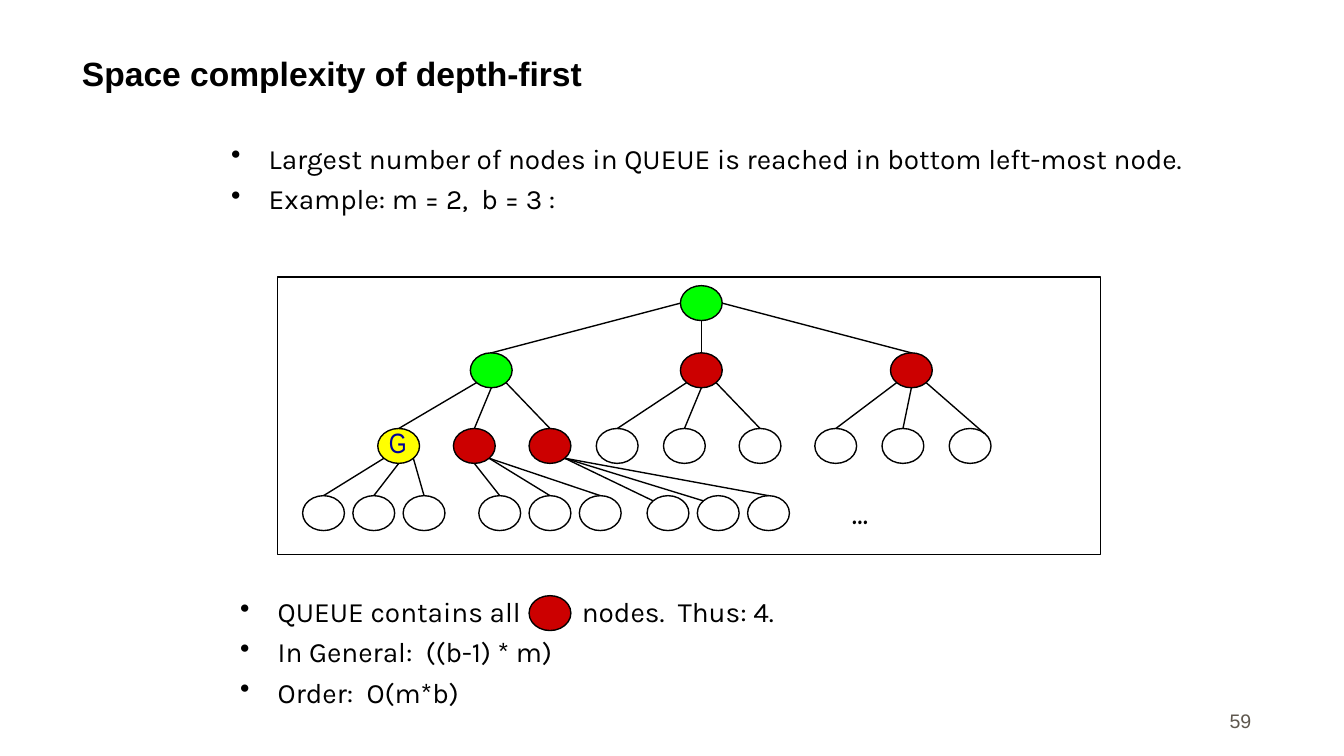
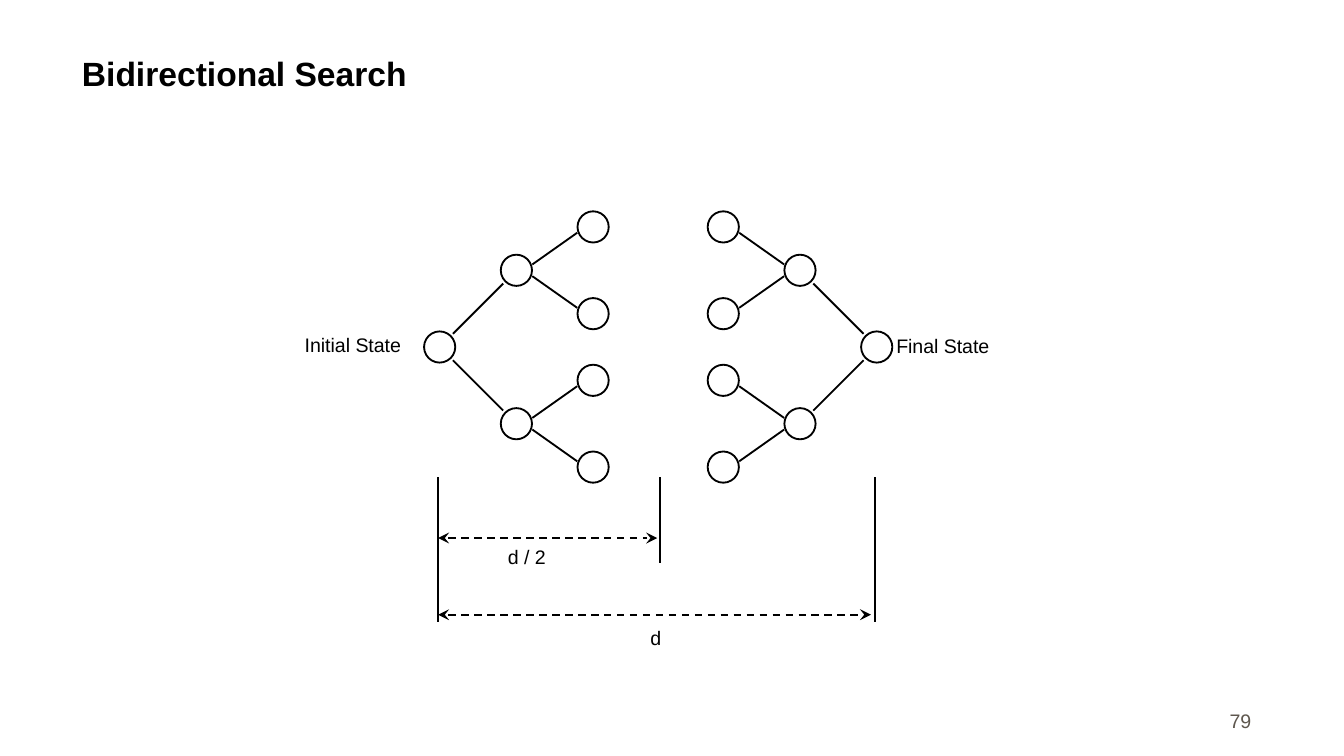
from lxml import etree
from pptx import Presentation
from pptx.dml.color import RGBColor
from pptx.enum.dml import MSO_LINE
from pptx.enum.shapes import MSO_CONNECTOR, MSO_SHAPE
from pptx.enum.text import MSO_ANCHOR, PP_ALIGN
from pptx.oxml.ns import qn
from pptx.util import Cm, Pt

BLACK, WHITE, GREY, NAVY = "000000", "FFFFFF", "5E574E", "000099"
GREEN, YELLOW, RED = "00FF00", "FFFF00", "CC0000"

DEPTH_FIRST = {
    "title": "Space complexity of depth-first",
    "page": "59",
    "intro": [
        "Largest number of nodes in QUEUE is reached in bottom left-most node.",
        "Example: m = 2,  b = 3 :",
    ],
    "summary": [
        "QUEUE contains all",
        "In General:  ((b-1) * m)",
        "Order:  O(m*b)",
    ],
    "after_node": "nodes.  Thus: 4.",
    "goal": "G",
    "more": "...",
}

TREE_LEVELS = [
    (5.4, [12.86], [GREEN]),
    (6.67, [8.89, 12.86, 16.83], [GREEN, RED, RED]),
    (8.1, [7.14, 8.57, 10, 11.27, 12.54, 13.97, 15.4, 16.67, 17.94],
     [YELLOW, RED, RED] + [WHITE] * 6),
    (9.37, [start + 0.95 * i for start in (5.72, 9.05, 12.23) for i in range(3)],
     [WHITE] * 9),
]
NODE_W, NODE_H = 0.79, 0.66

PORTS = {
    "top": (0.5, 0), "bottom": (0.5, 1), "left": (0, 0.5), "right": (1, 0.5),
    "top left": (0.15, 0.15), "top right": (0.85, 0.15),
    "bottom left": (0.15, 0.85), "bottom right": (0.85, 0.85),
}
FAN = ["bottom left", "bottom", "bottom right"]
EXITS = {
    (0, 0): ["left", "bottom", "right"],
    (2, 1): ["bottom", "bottom right", "bottom right"],
    (2, 2): ["bottom right"] * 3,
}
ENTRIES = {
    (1, 2): ["top", "top", "top right"],
    (2, 2): ["top left", "top left", "top"],
}

BIDIRECTIONAL = {
    "title": "Bidirectional Search",
    "page": "79",
    "labels": [
        ("Initial State", (5.56, 6.2, 6.4, 0.64), True),
        ("Final State", (16.74, 6.22, 2.18, 0.64), False),
        ("d / 2", (9.4, 10.21, 1.12, 0.64), False),
        ("d", (12.09, 11.73, 0.61, 0.64), False),
    ],
}
STATE_SIZE = 0.59
STATE_ROOTS = [(8.31, 6.56, 1), (16.57, 6.56, -1)]
STATE_STEP = 1.45
SPREADS = [1.45, 0.82]
LINK_GAPS = [(0.25, 0.25), (0.3, 0.11)]
MARKER_TOP = 9.02
MARKERS = [(8.28, 11.76), (16.54, 11.76), (12.47, 10.64)]
SPANS = [(8.28, 16.46, 11.62), (8.28, 12.42, 10.17)]


def color(value):
    return RGBColor.from_string(value)


def style(run, size, font, ink, bold=False):
    run.font.size = Pt(size)
    run.font.name = font
    run.font.bold = bold
    run.font.color.rgb = color(ink)


def add_bullet(paragraph):
    properties = paragraph._p.get_or_add_pPr()
    properties.set("marL", str(Cm(0.71)))
    properties.set("indent", str(Cm(-0.71)))
    bullet_color = etree.SubElement(properties, qn("a:buClr"))
    etree.SubElement(bullet_color, qn("a:srgbClr"), val=BLACK)
    etree.SubElement(properties, qn("a:buChar"), char="•")


def add_text(slide, box, lines, size, font="Arial", ink=BLACK, bold=False,
             align=PP_ALIGN.LEFT, anchor=MSO_ANCHOR.TOP, wrap=True,
             inset=(0.25, 0.13), bullets=False):
    frame = slide.shapes.add_textbox(*map(Cm, box)).text_frame
    frame.word_wrap = wrap
    frame.vertical_anchor = anchor
    frame.margin_left = frame.margin_right = Cm(inset[0])
    frame.margin_top = frame.margin_bottom = Cm(inset[1])
    frame.text = "\n".join(lines)
    for i, paragraph in enumerate(frame.paragraphs):
        if bullets:
            add_bullet(paragraph)
        paragraph.alignment = align
        if i:
            paragraph.space_before = Pt(3.6)
        for run in paragraph.runs:
            style(run, size, font, ink, bold)
    return frame


def add_shape(slide, kind, box, fill=None, weight=0.75):
    shape = slide.shapes.add_shape(kind, *map(Cm, box))
    shape.shadow.inherit = False
    if fill:
        shape.fill.solid()
        shape.fill.fore_color.rgb = color(fill)
    else:
        shape.fill.background()
    shape.line.color.rgb = color(BLACK)
    shape.line.width = Pt(weight)


def add_line(slide, start, end, weight=0.75, arrows=False):
    connector = slide.shapes.add_connector(
        MSO_CONNECTOR.STRAIGHT, *map(Cm, (*start, *end)))
    connector.line.color.rgb = color(BLACK)
    connector.line.width = Pt(weight)
    if arrows:
        connector.line.dash_style = MSO_LINE.DASH
        outline = connector.line._get_or_add_ln()
        for tip in ("a:headEnd", "a:tailEnd"):
            etree.SubElement(outline, qn(tip), type="stealth")
    etree.SubElement(connector._element.spPr, qn("a:effectLst"))


def add_slide(deck, content):
    slide = deck.slides.add_slide(deck.slide_layouts[6])
    add_text(slide, (18.62, 13, 5.28, 0.97), [content["page"]], 10.5, ink=GREY,
             align=PP_ALIGN.RIGHT, anchor=MSO_ANCHOR.BOTTOM)
    add_text(slide, (1.3, 0.48, 22.66, 1.42), [content["title"]], 18, bold=True,
             anchor=MSO_ANCHOR.BOTTOM)
    return slide


def port(level, index, name):
    top, lefts, _ = TREE_LEVELS[level]
    across, down = PORTS[name]
    return lefts[index] + across * NODE_W, top + down * NODE_H


def draw_search_tree(slide):
    add_shape(slide, MSO_SHAPE.RECTANGLE, (5.24, 5.24, 15.56, 5.24), WHITE)
    for top, lefts, fills in TREE_LEVELS:
        for left, fill in zip(lefts, fills):
            add_shape(slide, MSO_SHAPE.OVAL, (left, top, NODE_W, NODE_H), fill)
    for level in range(3):
        for parent in range(min(3, len(TREE_LEVELS[level][1]))):
            exits = EXITS.get((level, parent), FAN)
            entries = ENTRIES.get((level, parent), ["top"] * 3)
            for i in range(3):
                add_line(slide, port(level, parent, exits[i]),
                         port(level + 1, 3 * parent + i, entries[i]))


def build_depth_first(deck):
    slide = add_slide(deck, DEPTH_FIRST)
    add_text(slide, (4.12, 2.54, 19.84, 10.64), DEPTH_FIRST["intro"], 15, "Karla",
             bullets=True)
    draw_search_tree(slide)
    add_text(slide, (15.85, 9.2, 1.27, 0.97), [DEPTH_FIRST["more"]], 16.5,
             "Comic Neue", bold=True, wrap=False)
    summary = add_text(slide, (4.29, 11.11, 16.51, 2.86), DEPTH_FIRST["summary"],
                       15, "Karla", bullets=True)
    queue_line = summary.paragraphs[0]
    for words in (" ", DEPTH_FIRST["after_node"]):
        run = queue_line.add_run()
        run.text = words
        style(run, 15, "Karla", BLACK)
    queue_line.runs[1].font._element.set("spc", "2900")
    add_shape(slide, MSO_SHAPE.OVAL, (10, 11.26, NODE_W, NODE_H), RED)
    add_text(slide, (7.09, 7.92, 0.86, 0.89), [DEPTH_FIRST["goal"]], 15,
             "Arial Narrow", NAVY, align=PP_ALIGN.CENTER, wrap=False)


def draw_states(slide, x, y, side, depth=0):
    corner = STATE_SIZE / 2
    add_shape(slide, MSO_SHAPE.OVAL,
              (x - corner, y - corner, STATE_SIZE, STATE_SIZE), weight=1)
    if depth == len(SPREADS):
        return
    gap_x, gap_y = LINK_GAPS[depth]
    next_x = x + side * STATE_STEP
    for up in (-1, 1):
        next_y = y + up * SPREADS[depth]
        add_line(slide, (x + side * gap_x, y + up * gap_y),
                 (next_x - side * gap_x, next_y - up * gap_y), 1)
        draw_states(slide, next_x, next_y, side, depth + 1)


def build_bidirectional(deck):
    slide = add_slide(deck, BIDIRECTIONAL)
    for root in STATE_ROOTS:
        draw_states(slide, *root)
    for x, bottom in MARKERS:
        add_line(slide, (x, MARKER_TOP), (x, bottom), 1)
    for left, right, y in SPANS:
        add_line(slide, (left, y), (right, y), 1, arrows=True)
    for label, box, wrap in BIDIRECTIONAL["labels"]:
        add_text(slide, box, [label], 10.5, wrap=wrap, inset=(0.2, 0.1))


def main():
    deck = Presentation()
    deck.slide_width, deck.slide_height = Cm(25.4), Cm(14.29)
    build_depth_first(deck)
    build_bidirectional(deck)
    deck.save("out.pptx")


if __name__ == "__main__":
    main()
